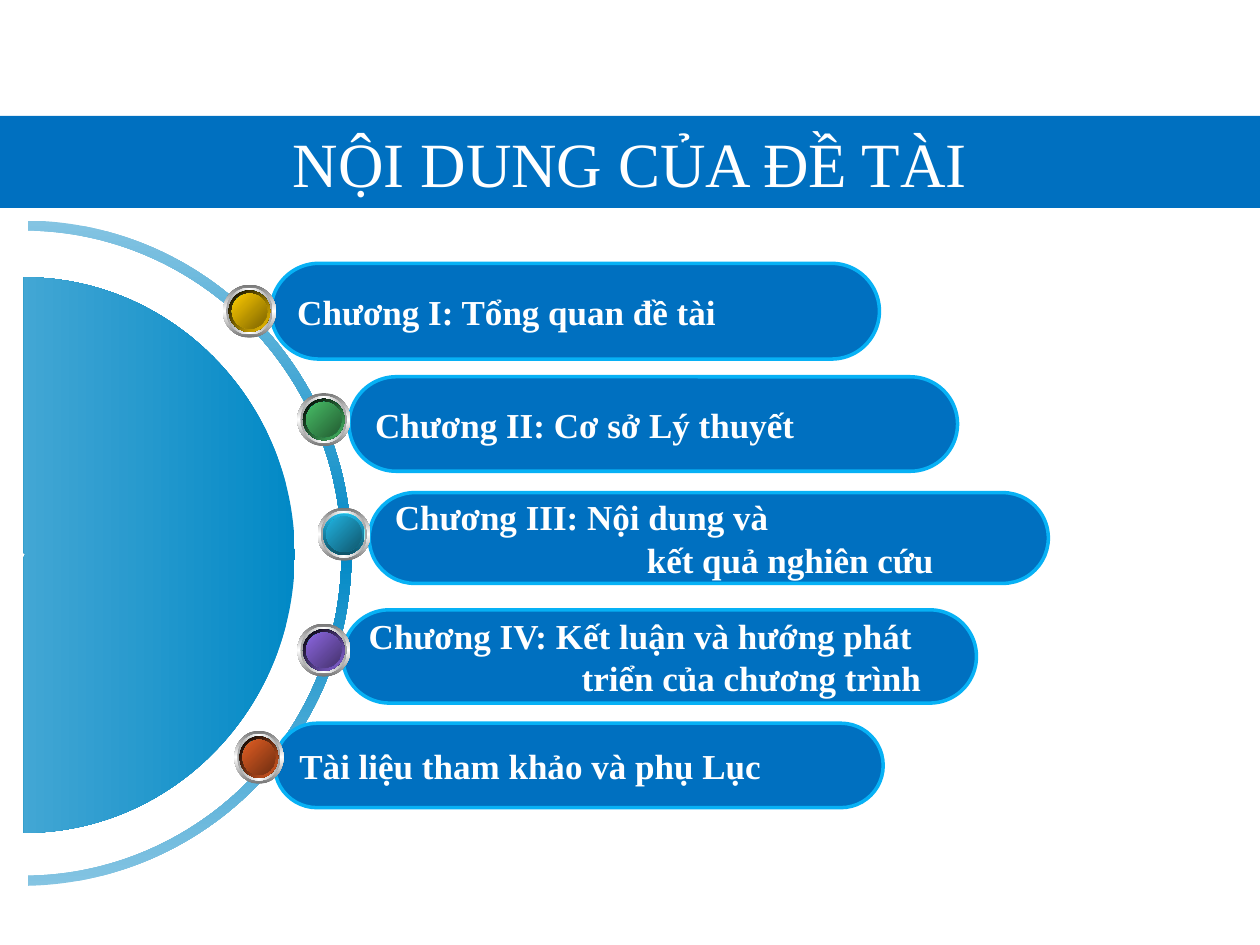
from lxml.etree import SubElement
from pptx import Presentation
from pptx.dml.color import RGBColor
from pptx.enum.shapes import MSO_SHAPE as SHAPE
from pptx.enum.text import MSO_ANCHOR as ANCHOR, PP_ALIGN as ALIGN
from pptx.oxml.ns import qn
from pptx.util import Inches, Pt

FONT = "Times New Roman"
C = {
    "blue": "0070C0", "border": "07B1F5", "white": "FFFFFF", "black": "000000",
    "pale": "84C4E2", "deep": "0289C6", "steel": "767676", "silver": "A2A2A2",
    "cyan": "04DDEE", "teal": "03A9B6",
}
TITLE = "NỘI DUNG CỦA ĐỀ TÀI"

# Curved outlines in slide inches; each frame is turned by 90 degrees
RING_BOX = (-2.46, 1.78, 5.28, 5.22)
RING = [
    ("moveTo", [(0.22, 1.83)]),
    ("cubicBezTo", [(1.6, 1.85), (2.71, 2.99), (2.71, 4.39)]),
    ("cubicBezTo", [(2.71, 5.79), (1.6, 6.93), (0.22, 6.95)]),
    ("lnTo", [(0.22, 7.03)]),
    ("cubicBezTo", [(1.64, 7), (2.79, 5.83), (2.79, 4.39)]),
    ("cubicBezTo", [(2.79, 2.95), (1.64, 1.77), (0.22, 1.75)]),
    ("close", []),
]
DISC_BOX = (-2.02, 2.26, 4.41, 4.3)
DISC = [
    ("moveTo", [(0.19, 4.42)]),
    ("cubicBezTo", [(0.19, 4.42), (0.2, 4.41), (0.2, 4.4)]),
    ("cubicBezTo", [(0.2, 4.4), (0.19, 4.39), (0.19, 4.39)]),
    ("lnTo", [(0.19, 2.2)]),
    ("cubicBezTo", [(1.37, 2.2), (2.34, 3.19), (2.34, 4.4)]),
    ("cubicBezTo", [(2.34, 5.62), (1.37, 6.61), (0.19, 6.61)]),
    ("close", []),
]

# Bars from top to bottom: box, lines of (text, indent in inches)
BARS = [
    ((2.15, 2.09, 4.83, 0.76), [("Chương I: Tổng quan đề tài", 0)]),
    ((2.77, 2.99, 4.83, 0.75), [("Chương II: Cơ sở Lý thuyết", 0)]),
    ((2.93, 3.91, 5.39, 0.72), [("Chương III: Nội dung và", 0),
                                ("kết quả nghiên cứu", 2)]),
    ((2.72, 4.84, 5.03, 0.74), [("Chương IV: Kết luận và hướng phát", 0),
                                ("triển của chương trình", 1.69)]),
    ((2.18, 5.74, 4.83, 0.67), [("Tài liệu tham khảo và phụ Lục", 0)]),
]

# Knobs: left, top, width, face colour, shade, rim start, rim end, rim angle
KNOBS = [
    (1.77, 2.26, 0.42, "FFCC00", "7C6300", C["black"], "FFCC00", 45),
    (2.36, 3.12, 0.42, "48BE67", "235C32", C["black"], "48BE67", 45),
    (2.52, 4.03, 0.42, "21B3E1", "10576D", "21B3E1", "0F5368", 90),
    (2.36, 4.95, 0.42, "8D67E1", "45326D", C["black"], "8D67E1", 45),
    (1.86, 5.80, 0.39, "E35E23", "6E2E11", C["black"], "E35E23", 45),
]
KNOB_H = 0.42


def gradient(sp, colors, angle):
    """Evenly spaced gradient stops, angle clockwise in degrees; no outline."""
    sp.shadow.inherit = False
    sp.line.fill.background()
    sp.fill.gradient()
    grad = sp._element.spPr.find(qn("a:gradFill"))
    stops = grad.find(qn("a:gsLst"))
    stops.clear()
    for i, color in enumerate(colors):
        gs = SubElement(stops, qn("a:gs"), pos=str(100000 * i // (len(colors) - 1)))
        SubElement(gs, qn("a:srgbClr"), val=color)
    grad.find(qn("a:lin")).set("ang", str(angle * 60000))


def solid(sp, color):
    sp.fill.solid()
    sp.fill.fore_color.rgb = RGBColor.from_string(color)


def style(p, size, bold=False):
    for r in p.runs:
        r.font.name, r.font.size, r.font.bold = FONT, Pt(size), bold
        r.font.color.rgb = RGBColor.from_string(C["white"])


def add_curve(shapes, box, commands):
    """Freeform with Bezier segments inside a frame turned by 90 degrees."""
    left, top, w, h = box
    cx, cy = left + w / 2, top + h / 2
    builder = shapes.build_freeform(0, 0)
    builder.add_line_segments([(Inches(w), Inches(h))])
    sp = builder.convert_to_shape()
    sp.left, sp.top, sp.width, sp.height = map(Inches, box)
    sp.rotation = 90
    outline = sp._element.spPr.find(".//" + qn("a:path"))
    for child in list(outline):
        outline.remove(child)
    for name, points in commands:
        command = SubElement(outline, qn("a:" + name))
        for x, y in points:
            SubElement(command, qn("a:pt"), x=str(Inches(y - cy + w / 2)),
                       y=str(Inches(cx - x + h / 2)))
    return sp


def add_bar(shapes, box, lines):
    sp = shapes.add_shape(SHAPE.ROUNDED_RECTANGLE, *map(Inches, box))
    sp.adjustments[0] = 0.5
    sp.shadow.inherit = False
    solid(sp, C["blue"])
    sp.line.color.rgb = RGBColor.from_string(C["border"])
    sp.line.width = Pt(2)
    tf = sp.text_frame
    tf.word_wrap = False
    tf.vertical_anchor = ANCHOR.MIDDLE
    tf.text = "\n".join(text for text, _ in lines)
    for p, (_, indent) in zip(tf.paragraphs, lines):
        p.alignment = ALIGN.LEFT
        if indent:
            p._p.get_or_add_pPr().set("marL", str(Inches(indent)))
        style(p, 20, True)


def add_knob(shapes, left, top, width, face, shade, rim_a, rim_b, rim_angle):
    layers = [
        (0.42, (C["steel"], C["white"], C["steel"]), 90),
        (0.37, (C["silver"], C["white"], C["silver"]), 0),
        (0.33, (C["white"], C["cyan"], C["white"]), 45),
        (0.33, (rim_a, rim_b), rim_angle),
        (0.28, (C["teal"], C["cyan"], C["teal"]), 315),
        (0.28, (face, shade), 45),
    ]
    for h, colors, angle in layers:
        w = width * h / KNOB_H
        sp = shapes.add_shape(
            SHAPE.OVAL, Inches(left + (width - w) / 2),
            Inches(top + (KNOB_H - h) / 2), Inches(w), Inches(h))
        gradient(sp, colors, angle)


prs = Presentation()
prs.slide_width, prs.slide_height = Inches(10), Inches(7.5)
s = prs.slides.add_slide(prs.slide_layouts[5])

# Title band
title = s.shapes.title
title.left, title.top, title.width, title.height = map(Inches, (0, 0.92, 10, 0.73))
solid(title, C["blue"])
title.text_frame.text = TITLE
title.text_frame.vertical_anchor = ANCHOR.MIDDLE
title.text_frame.paragraphs[0].alignment = ALIGN.CENTER
style(title.text_frame.paragraphs[0], 36)

# Ring and half disc
gradient(add_curve(s.shapes, RING_BOX, RING), (C["pale"], C["deep"], C["pale"]), 0)
gradient(add_curve(s.shapes, DISC_BOX, DISC), (C["deep"], C["pale"]), 90)

# Chapter bars, the lowest at the back, then the knobs
for box, lines in reversed(BARS):
    add_bar(s.shapes, box, lines)
for knob in KNOBS:
    add_knob(s.shapes, *knob)

prs.save("out.pptx")
